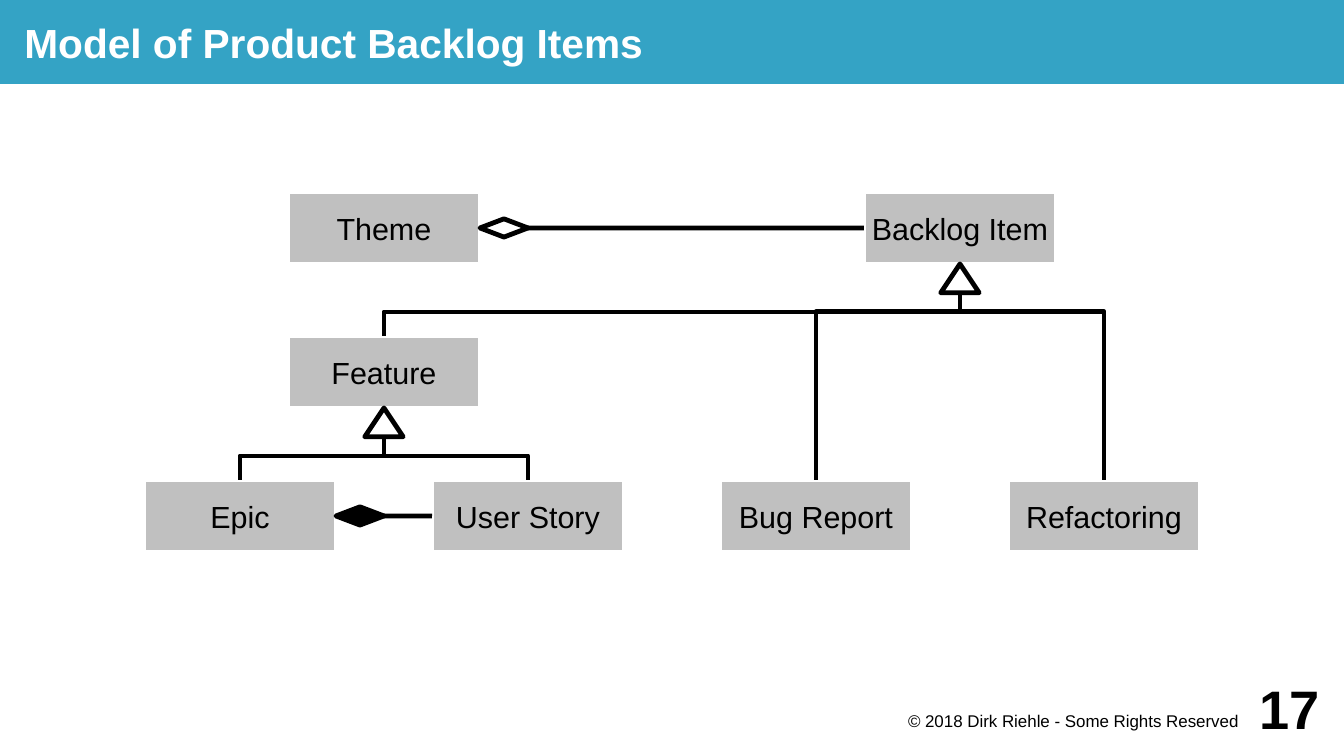
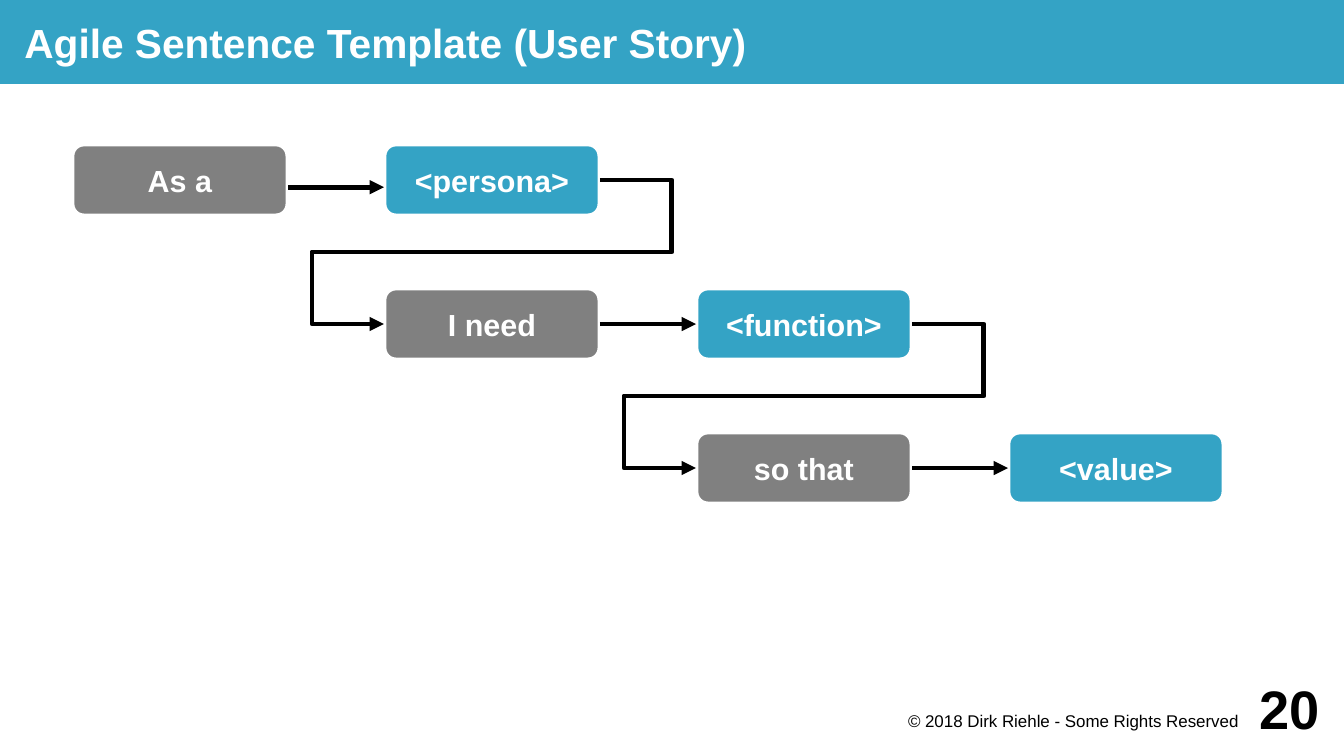
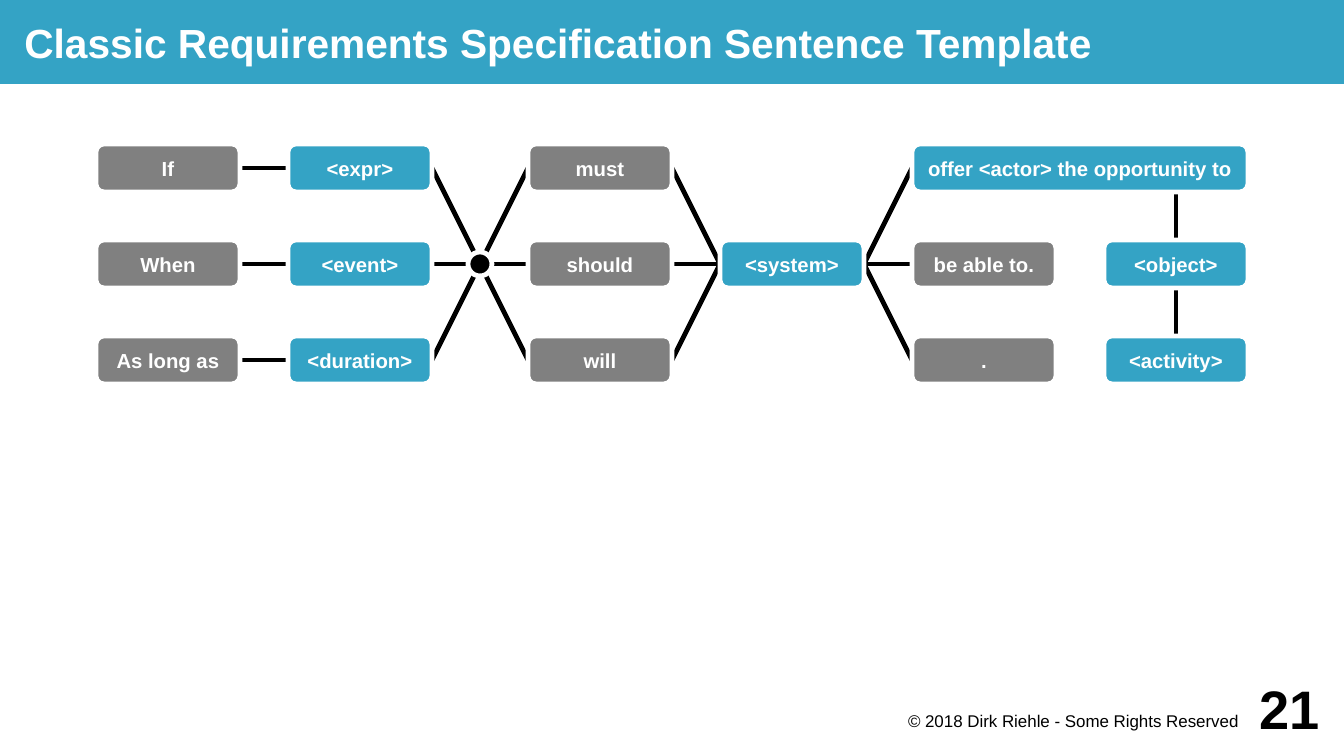
from lxml.etree import SubElement
from pptx import Presentation
from pptx.dml.color import RGBColor
from pptx.enum.shapes import MSO_CONNECTOR, MSO_SHAPE
from pptx.enum.text import MSO_ANCHOR, MSO_AUTO_SIZE, PP_ALIGN
from pptx.oxml.ns import qn
from pptx.util import Inches, Pt

BLUE = RGBColor(0x34, 0xA3, 0xC5)
GRAY = RGBColor(0x80, 0x80, 0x80)
PALE = RGBColor(0xC0, 0xC0, 0xC0)
WHITE = RGBColor(0xFF, 0xFF, 0xFF)
BLACK = RGBColor(0x00, 0x00, 0x00)
TOP, LEFT, BASE, RIGHT = range(4)
CREDIT = "© 2018 Dirk Riehle - Some Rights Reserved"


def grid(*cells):
    return [Inches(cell / 2.54) for cell in cells]


def apply(item, **values):
    for name, value in values.items():
        setattr(item, name, value)


def place(item, at):
    apply(item, **dict(zip(("left", "top", "width", "height"), grid(*at))))


class Deck:
    face = "Arial"
    weight = Pt(2.83)

    def __init__(self):
        self.prs = Presentation()
        apply(self.prs, **dict(zip(("slide_width", "slide_height"), grid(28, 15.75))))
        self.slide = None

    def page(self, title, number):
        self.slide = self.prs.slides.add_slide(self.prs.slide_layouts[5])
        band = self.slide.shapes.title
        place(band, (0, 0, 28, 1.75))
        self.paint(band, BLUE)
        self.label(band, title, 24, WHITE, True, PP_ALIGN.LEFT, pad=(0.2, 0, 0, 0))
        self.note((18, 14.75, 8, 0.75), CREDIT, 10, False,
                  MSO_ANCHOR.TOP, (0, 0.02, 0.08, 0))
        self.note((25.5, 14, 2, 1.5), str(number), 32, True)

    def paint(self, item, color):
        item.fill.solid()
        item.fill.fore_color.rgb = color

    def label(self, item, text, size, color, bold=False, align=PP_ALIGN.CENTER,
              anchor=MSO_ANCHOR.MIDDLE, pad=(0.08,) * 4, wrap=True):
        frame = item.text_frame
        frame.text = text
        sides = ("margin_left", "margin_top", "margin_right", "margin_bottom")
        apply(frame, auto_size=MSO_AUTO_SIZE.NONE, word_wrap=wrap,
              vertical_anchor=anchor, **dict(zip(sides, map(Inches, pad))))
        para = frame.paragraphs[0]
        para.alignment = align
        font = para.runs[0].font
        apply(font, name=self.face, size=Pt(size), bold=bold)
        font.color.rgb = color

    def note(self, at, text, size, bold, anchor=MSO_ANCHOR.MIDDLE, pad=(0,) * 4):
        item = self.slide.shapes.add_textbox(*grid(*at))
        self.label(item, text, size, BLACK, bold, PP_ALIGN.RIGHT, anchor, pad)

    def shape(self, kind, at, fill, edge):
        item = self.slide.shapes.add_shape(kind, *grid(*at))
        item.shadow.inherit = False
        self.paint(item, fill)
        item.line.color.rgb = edge
        item.line.width = self.weight
        return item

    def box(self, at, text, fill, size=18):
        plain = fill == PALE
        kind = MSO_SHAPE.RECTANGLE if plain else MSO_SHAPE.ROUNDED_RECTANGLE
        item = self.shape(kind, at, fill, WHITE)
        self.label(item, text, size, BLACK if plain else WHITE, not plain, wrap=False)
        return item

    def link(self, start, end, out=RIGHT, into=LEFT, arrow=False, back=False,
             kind=MSO_CONNECTOR.STRAIGHT):
        line = self.slide.shapes.add_connector(kind, 0, 0, 0, 0)
        for name, join, mark, side in (("begin", line.begin_connect, start, out),
                                       ("end", line.end_connect, end, into)):
            if isinstance(mark, tuple):
                across, down = grid(*mark)
                apply(line, **{name + "_x": across, name + "_y": down})
            else:
                join(mark, side)
        line.line.color.rgb = BLACK
        line.line.width = self.weight
        props = line._element.spPr
        SubElement(props, qn("a:effectLst"))
        if arrow:
            SubElement(props.find(qn("a:ln")), qn("a:tailEnd"), type="triangle")
        if back:
            line._element.getparent().insert(2, line._element)
        return line

    def bend(self, line, preset, *ratios):
        geom = line._element.spPr.find(qn("a:prstGeom"))
        geom.set("prst", preset)
        guides = geom.find(qn("a:avLst"))
        if guides is None:
            guides = SubElement(geom, qn("a:avLst"))
        for rank, ratio in enumerate(ratios, 1):
            SubElement(guides, qn("a:gd"), name=f"adj{rank}",
                       fmla=f"val {round(ratio * 100000)}")

    def wrap(self, start, end):
        line = self.link(start, end, arrow=True, kind=MSO_CONNECTOR.ELBOW)
        self.bend(line, "bentConnector5", -1 / 3, 0.5, 4 / 3)

    def branch(self, child, parent):
        line = self.link(child, parent, TOP, BASE, kind=MSO_CONNECTOR.ELBOW)
        rise = child.top - parent.top - parent.height
        shift = parent.left + parent.width // 2 - child.left - child.width // 2
        span = abs(shift)
        apply(line, left=child.left + child.width // 2 + (shift - rise) // 2,
              top=child.top - (rise + span) // 2, width=rise, height=span)
        turn = {"rot": "5400000", "flipH": "1", "flipV": "1"}
        if shift < 0:
            turn = {"rot": "16200000", "flipH": "0", "flipV": "1"}
        frame = line._element.spPr.find(qn("a:xfrm"))
        for name, value in turn.items():
            frame.set(name, value)
        self.bend(line, "bentConnector3", 1 - grid(1)[0] / rise)

    def tree(self, parent, mid, base, *kids):
        for kid in kids:
            self.branch(kid, parent)
        self.shape(MSO_SHAPE.ISOSCELES_TRIANGLE, (mid - 0.4, base, 0.8, 0.6), WHITE, BLACK)

    def whole(self, left, mid, fill, part):
        gem = self.shape(MSO_SHAPE.DIAMOND, (left, mid - 0.19, 1, 0.38), fill, BLACK)
        self.link(gem, part)


def model(deck):
    deck.page("Model of Product Backlog Items", 17)
    spots = {"Backlog Item": (18, 4), "Theme": (6, 4), "Feature": (6, 7),
             "User Story": (9, 10), "Epic": (3, 10),
             "Refactoring": (21, 10), "Bug Report": (15, 10)}
    box = {name: deck.box((*spot, 4, 1.5), name, PALE) for name, spot in spots.items()}
    deck.tree(box["Backlog Item"], 20, 5.5,
              box["Feature"], box["Bug Report"], box["Refactoring"])
    deck.tree(box["Feature"], 8, 8.5, box["Epic"], box["User Story"])
    deck.whole(10, 4.75, WHITE, box["Backlog Item"])
    deck.whole(7, 10.75, BLACK, box["User Story"])


def story(deck):
    deck.page("Agile Sentence Template (User Story)", 20)
    pairs = (("As a", "<persona>"), ("I need", "<function>"), ("so that", "<value>"))
    last = None
    for row, (word, slot) in enumerate(pairs):
        left, top = 1.5 + 6.5 * row, 3 + 3 * row
        lead = deck.box((left, top, 4.5, 1.5), word, GRAY)
        fill = deck.box((left + 6.5, top, 4.5, 1.5), slot, BLUE)
        if last is None:
            deck.link((6, 3.9), (8, 3.9), arrow=True)
        else:
            deck.wrap(last, lead)
            deck.link(lead, fill, arrow=True)
        last = fill


def classic(deck):
    deck.page("Classic Requirements Specification Sentence Template", 21)

    def stack(left, fill, *words, first=0):
        return [deck.box((left, 3 + 2 * row, 3, 1), word, fill, 12)
                for row, word in enumerate(words, first)]

    whens = stack(2, GRAY, "If", "When", "As long as")
    terms = stack(6, BLUE, "<expr>", "<event>", "<duration>")
    verbs = stack(11, GRAY, "must", "should", "will")
    system, = stack(15, BLUE, "<system>", first=1)
    offer = deck.box((19, 3, 7, 1), "offer <actor> the opportunity to", BLUE, 12)
    ends = stack(19, GRAY, "be able to.", ".", first=1)
    thing, deed = stack(23, BLUE, "<object>", "<activity>", first=1)
    pairs = [*zip(whens, terms), *zip(terms, reversed(verbs)),
             *((verb, system) for verb in verbs),
             *((system, end) for end in (offer, *ends))]
    for start, end in pairs:
        deck.link(start, end, back=True)
    deck.link((24.5, 4), thing, into=TOP, back=True)
    deck.link(thing, deed, BASE, TOP, back=True)
    deck.shape(MSO_SHAPE.OVAL, (9.75, 5.25, 0.5, 0.5), BLACK, WHITE)


def main():
    deck = Deck()
    for build in (model, story, classic):
        build(deck)
    deck.prs.save("out.pptx")


if __name__ == "__main__":
    main()
